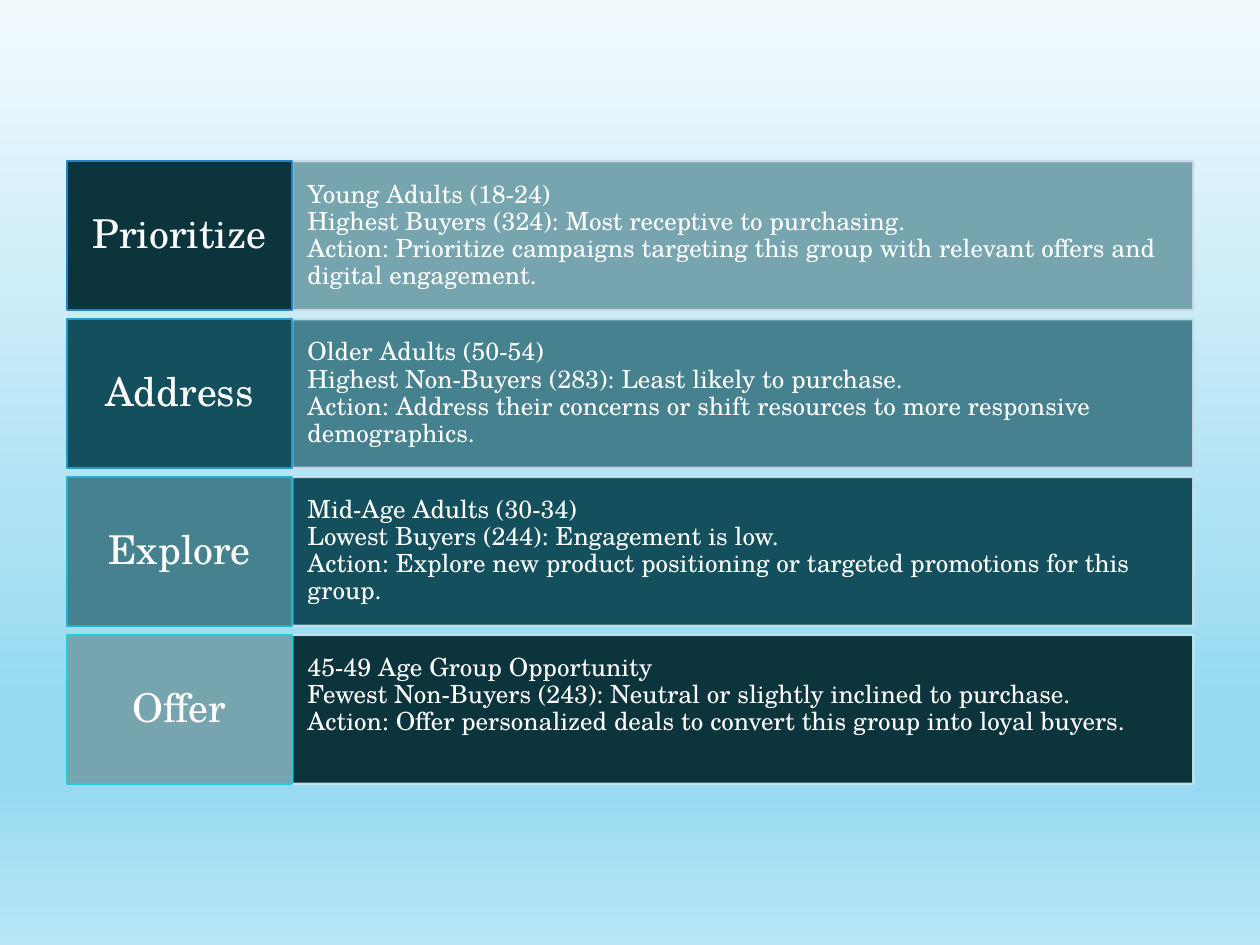
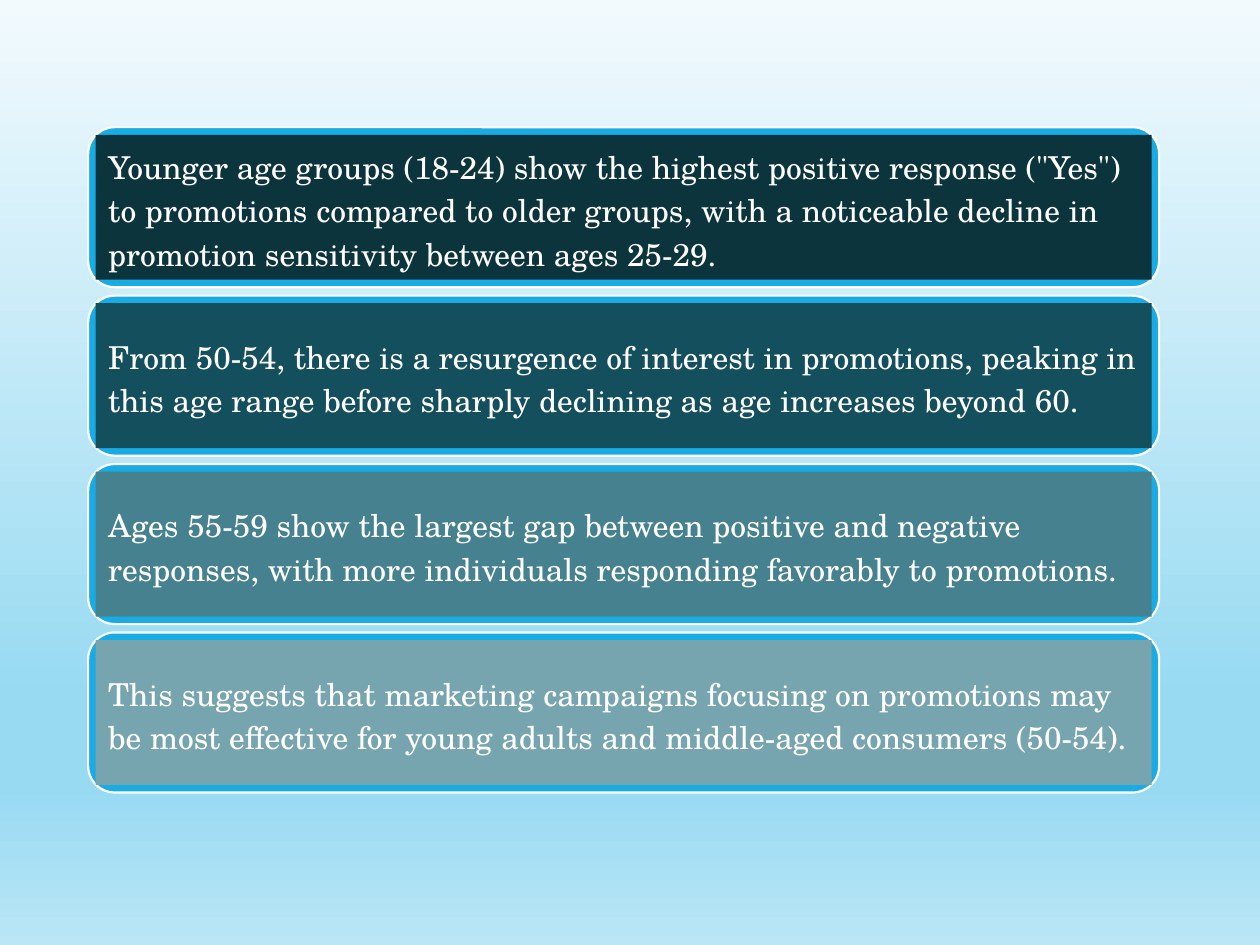
from dataclasses import dataclass

from lxml import etree
from pptx import Presentation
from pptx.dml.color import RGBColor
from pptx.enum.shapes import MSO_SHAPE
from pptx.enum.text import MSO_ANCHOR, PP_ALIGN
from pptx.oxml.ns import qn
from pptx.util import Inches, Pt

RECTANGLE, ROUNDED = MSO_SHAPE.RECTANGLE, MSO_SHAPE.ROUNDED_RECTANGLE
TOP, MIDDLE = MSO_ANCHOR.TOP, MSO_ANCHOR.MIDDLE
LEFT, CENTER = PP_ALIGN.LEFT, PP_ALIGN.CENTER
BLANK_LAYOUT = 6


@dataclass(frozen=True)
class Theme:
    font: str = "TeX Gyre Schola"
    white: str = "FFFFFF"
    frame: str = "19ACE4"
    teals: tuple = ("0C343D", "134F5C", "45818E", "76A5AF")
    label_lines: tuple = ("2383C6", "2499CB", "24B2D1", "25CCD6")
    detail_lines: tuple = ("CBD8EA", "CADDEB", "CAE4EC", "CAEBEF")
    backdrop: tuple = ((0, "F2FAFD"), (74, "97DAF2"), (83, "97DAF2"), (100, "BAE6F6"))
    label_size: float = 22.7
    detail_size: float = 14.3
    finding_size: float = 18
    line_width: float = 1.25


@dataclass(frozen=True)
class Box:
    """A region of the slide, in inches."""
    left: float
    top: float
    width: float
    height: float

    def rows(self, count, row_height):
        """Spread equal rows from the top edge to the bottom edge."""
        step = (self.height - row_height) / (count - 1)
        return [Box(self.left, self.top + i * step, self.width, row_height)
                for i in range(count)]

    def split(self, first_width):
        return (Box(self.left, self.top, first_width, self.height),
                Box(self.left + first_width, self.top,
                    self.width - first_width, self.height))

    def inset(self, margin):
        return Box(self.left + margin, self.top + margin,
                   self.width - 2 * margin, self.height - 2 * margin)


THEME = Theme()

ACTIONS = [
    ("Prioritize", "Young Adults (18-24)\n"
     "Highest Buyers (324): Most receptive to purchasing.\n"
     "Action: Prioritize campaigns targeting this group with relevant offers "
     "and digital engagement."),
    ("Address", "Older Adults (50-54)\n"
     "Highest Non-Buyers (283): Least likely to purchase.\n"
     "Action: Address their concerns or shift resources to more responsive "
     "demographics."),
    ("Explore", "Mid-Age Adults (30-34)\n"
     "Lowest Buyers (244): Engagement is low.\n"
     "Action: Explore new product positioning or targeted promotions for this "
     "group."),
    ("Offer", "45-49 Age Group Opportunity\n"
     "Fewest Non-Buyers (243): Neutral or slightly inclined to purchase.\n"
     "Action: Offer personalized deals to convert this group into loyal buyers."),
]

FINDINGS = [
    'Younger age groups (18-24) show the highest positive response ("Yes") to '
    "promotions compared to older groups, with a noticeable decline in "
    "promotion sensitivity between ages 25-29.",
    "From 50-54, there is a resurgence of interest in promotions, peaking in "
    "this age range before sharply declining as age increases beyond 60.",
    "Ages 55-59 show the largest gap between positive and negative responses, "
    "with more individuals responding favorably to promotions.",
    "This suggests that marketing campaigns focusing on promotions may be most "
    "effective for young adults and middle-aged consumers (50-54).",
]


def color(value):
    return RGBColor.from_string(value)


def set_backdrop(master):
    """Give every slide the shared vertical gradient."""
    fill = master.background.fill
    fill.gradient()
    fill.gradient_angle = 270
    stops = master.element.find(".//" + qn("a:gsLst"))
    for stop in list(stops):
        stops.remove(stop)
    for percent, value in THEME.backdrop:
        stop = etree.SubElement(stops, qn("a:gs"), pos=str(percent * 1000))
        etree.SubElement(stop, qn("a:srgbClr"), val=value)


def add_panel(page, kind, box, fill, line=None):
    panel = page.shapes.add_shape(kind, Inches(box.left), Inches(box.top),
                                  Inches(box.width), Inches(box.height))
    panel.shadow.inherit = False
    panel.fill.solid()
    panel.fill.fore_color.rgb = color(fill)
    if line:
        panel.line.color.rgb = color(line)
        panel.line.width = Pt(THEME.line_width)
    else:
        panel.line.fill.background()
    return panel


def write_text(panel, text, size, spacing, insets, anchor=MIDDLE, align=LEFT):
    frame = panel.text_frame
    frame.word_wrap = True
    frame.vertical_anchor = anchor
    frame.margin_left = frame.margin_right = Inches(insets[0])
    frame.margin_top = frame.margin_bottom = Inches(insets[1])
    frame.text = text
    for para in frame.paragraphs:
        para.alignment = align
        para.line_spacing = spacing
        for span in para.runs:
            span.font.name = THEME.font
            span.font.size = Pt(size)
            span.font.color.rgb = color(THEME.white)


def soften_line(panel, percent):
    line_color = panel.element.spPr.find(qn("a:ln")).find(".//" + qn("a:srgbClr"))
    etree.SubElement(line_color, qn("a:alpha"), val=str(percent * 1000))


def build_actions(page, box):
    """Rows of a label and its details, shaded in opposite directions."""
    rows = box.rows(len(ACTIONS), 1.18)
    styles = zip(THEME.teals, reversed(THEME.teals),
                 THEME.label_lines, THEME.detail_lines)
    for row, (label, details), style in zip(rows, ACTIONS, styles):
        label_fill, detail_fill, label_line, detail_line = style
        label_box, detail_box = row.split(1.79)
        # Details
        panel = add_panel(page, RECTANGLE, detail_box, detail_fill, detail_line)
        soften_line(panel, 90)
        write_text(panel, details, THEME.detail_size, 0.9, (0.12, 0.16), TOP)
        # Label
        panel = add_panel(page, RECTANGLE, label_box, label_fill, label_line)
        write_text(panel, label, THEME.label_size, 0.9, (0.08, 0.1), align=CENTER)


def build_findings(page, box):
    """Rounded frames, each holding a text panel."""
    rows = box.rows(len(FINDINGS), 1.27)
    for row, finding, fill in zip(rows, FINDINGS, THEME.teals):
        add_panel(page, ROUNDED, row, THEME.frame, THEME.white)
        panel = add_panel(page, RECTANGLE, row.inset(0.06), fill)
        write_text(panel, finding, THEME.finding_size, 1.15, (0.1, 0.1))


def main():
    deck = Presentation()
    deck.slide_width, deck.slide_height = Inches(10), Inches(7.5)
    set_backdrop(deck.slide_master)
    layout = deck.slide_layouts[BLANK_LAYOUT]
    build_actions(deck.slides.add_slide(layout), Box(0.53, 1.28, 8.94, 4.94))
    build_findings(deck.slides.add_slide(layout), Box(0.7, 1.01, 8.5, 5.28))
    deck.save("out.pptx")


if __name__ == "__main__":
    main()
